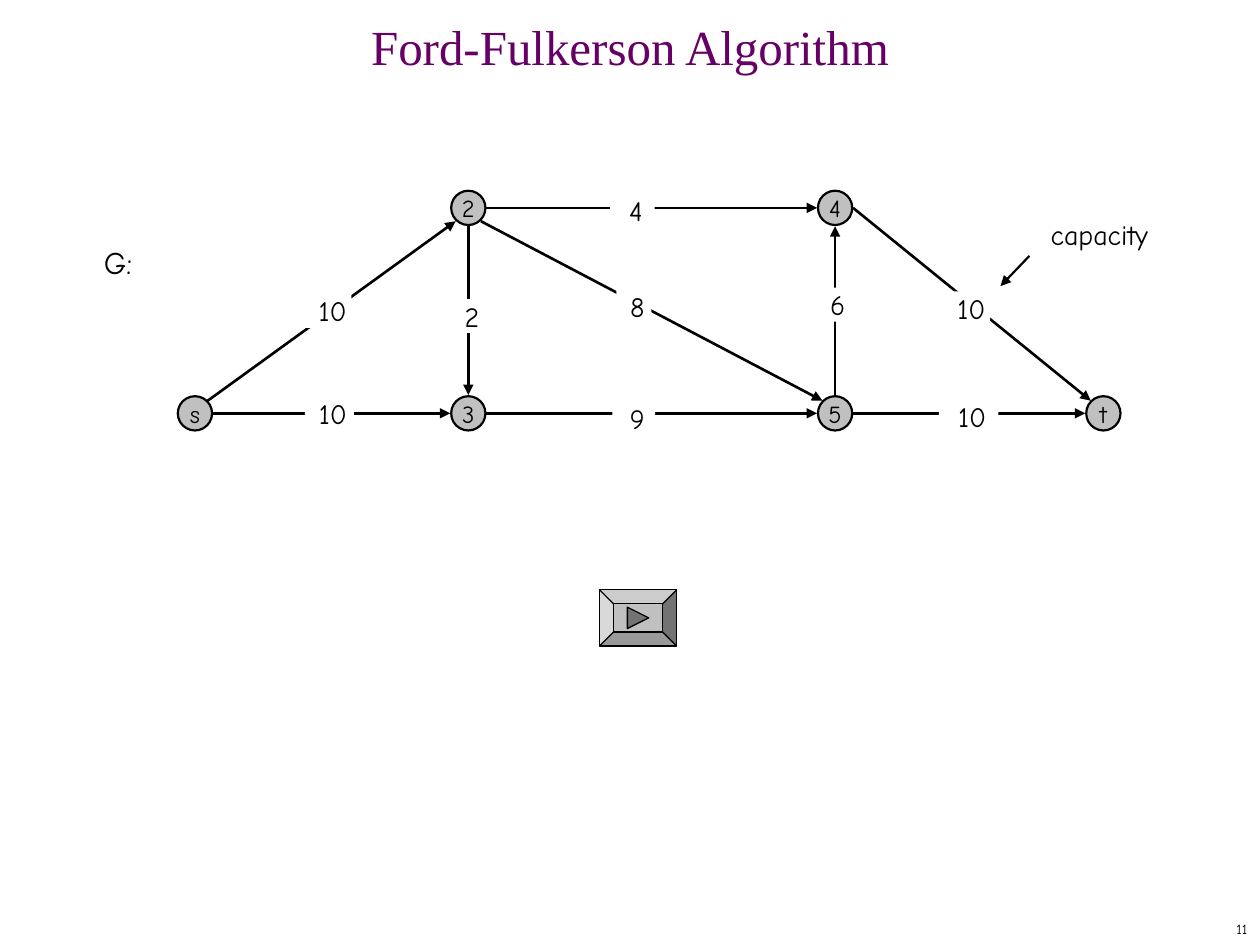
from lxml.etree import SubElement
from pptx import Presentation
from pptx.dml.color import RGBColor
from pptx.enum.shapes import MSO_CONNECTOR as CONN, MSO_SHAPE as SHAPE
from pptx.enum.text import MSO_ANCHOR as ANCHOR, MSO_AUTO_SIZE as AUTO, PP_ALIGN as ALIGN
from pptx.oxml.ns import qn
from pptx.util import Pt

BLACK = RGBColor(0x00, 0x00, 0x00)
WHITE = RGBColor(0xFF, 0xFF, 0xFF)
GRAY = RGBColor(0xC0, 0xC0, 0xC0)
DARK_GRAY = RGBColor(0x73, 0x73, 0x73)
PURPLE = RGBColor(0x66, 0x00, 0x66)
BODY_FONT = "Comic Neue"
TITLE_FONT = "Times New Roman"

NODE_SIZE = 19.6
COLUMNS = [9.8, 166, 375.6, 528.9]
ROWS = [9.8, 127.2]
NODES = {"s": (0, 1), "2": (1, 0), "3": (1, 1), "4": (2, 0), "5": (2, 1), "t": (3, 1)}
SIDES = {"n": (0, -10.5), "s": (0, 10.5), "w": (-10.3, 0), "e": (10.3, 0),
         "ne": (7.3, -7.2), "nw": (-7.2, -7.2), "se": (7.2, 7.6), "sw": (-7.2, 7.6)}
EDGES = [("s", "ne", "2", "sw"), ("s", "e", "3", "w"), ("3", "e", "5", "w"),
         ("2", "e", "4", "w"), ("2", "s", "3", "n"), ("5", "n", "4", "s"),
         ("2", "se", "5", "nw"), ("4", "e", "t", "nw"), ("5", "e", "t", "w")]
CAPACITIES = [("10", 72.7, 117.4, 28, 4), ("10", 66.3, 59, 33, 11.5),
              ("9", 248.4, 120.2, 24.5, 4), ("8", 250.6, 56.2, 20, 4),
              ("4", 247, 1.4, 25.5, 4), ("10", 434.9, 119.5, 34, 4),
              ("10", 431.3, 57.6, 33, 11.5), ("6", 358.6, 55.4, 33, 4),
              ("2", 149.1, 61.9, 34, 4)]


def write(tf, text, size, align=ALIGN.CENTER, font=BODY_FONT, color=BLACK):
    """Put one formatted run in the first paragraph and return the paragraph."""
    p = tf.paragraphs[0]
    p.alignment = align
    r = p.add_run()
    r.text = text
    r.font.size = Pt(size)
    r.font.name = font
    r.font.color.rgb = color
    return p


def set_margins(tf, left, top, right, bottom):
    """Set the four text margins."""
    tf.margin_left, tf.margin_top = Pt(left), Pt(top)
    tf.margin_right, tf.margin_bottom = Pt(right), Pt(bottom)


def add_text(s, x, y, w, h, text, size, align=ALIGN.CENTER, margins=(7.2, 3.6, 7.2, 3.6)):
    """Add a wrapped text box."""
    sp = s.shapes.add_textbox(Pt(x), Pt(y), Pt(w), Pt(h))
    tf = sp.text_frame
    tf.word_wrap = True
    set_margins(tf, *margins)
    write(tf, text, size, align)
    return sp


def add_label(s, x, y, w, h, text, size, indent, align=ALIGN.CENTER):
    """Add a white label that hides the line behind it."""
    sp = add_text(s, x, y, w, h, text, size, align, (indent, 0, 0, 0))
    sp.fill.solid()
    sp.fill.fore_color.rgb = WHITE
    sp.text_frame.auto_size = AUTO.SHAPE_TO_FIT_TEXT


def add_arrow(s, x1, y1, x2, y2, width):
    """Add a straight black line with an arrowhead at its end."""
    line = s.shapes.add_connector(CONN.STRAIGHT, Pt(x1), Pt(y1), Pt(x2), Pt(y2))
    line.line.color.rgb = BLACK
    line.line.width = Pt(width)
    SubElement(line.line._get_or_add_ln(), qn("a:tailEnd"), type="triangle")
    SubElement(line._element.spPr, qn("a:effectLst"))


def add_filled(s, kind, x, y, w, h, fill, width):
    """Add an outlined preset shape."""
    sp = s.shapes.add_shape(kind, Pt(x), Pt(y), Pt(w), Pt(h))
    sp.shadow.inherit = False
    sp.fill.solid()
    sp.fill.fore_color.rgb = fill
    sp.line.color.rgb = BLACK
    sp.line.width = Pt(width)
    return sp


def add_title(s, x, y, w, h, text):
    """Place and format the title."""
    sp = s.shapes.title
    sp.left, sp.top, sp.width, sp.height = Pt(x), Pt(y), Pt(w), Pt(h)
    tf = sp.text_frame
    tf.auto_size = AUTO.NONE
    tf.vertical_anchor = ANCHOR.MIDDLE
    write(tf, text, 28, font=TITLE_FONT, color=PURPLE).line_spacing = 0.7


def add_graph(s, x, y):
    """Draw the flow network with its capacities from the given corner."""
    centers = {name: (x + COLUMNS[c], y + ROWS[r]) for name, (c, r) in NODES.items()}
    for name, (cx, cy) in centers.items():
        sp = add_filled(s, SHAPE.OVAL, cx - NODE_SIZE / 2, cy - NODE_SIZE / 2,
                        NODE_SIZE, NODE_SIZE, GRAY, 1.25)
        sp.text_frame.word_wrap = False
        sp.text_frame.vertical_anchor = ANCHOR.MIDDLE
        write(sp.text_frame, name, 14)
    for start, side1, end, side2 in EDGES:
        (x1, y1), (dx1, dy1) = centers[start], SIDES[side1]
        (x2, y2), (dx2, dy2) = centers[end], SIDES[side2]
        add_arrow(s, x1 + dx1, y1 + dy1, x2 + dx2, y2 + dy2, 1.5)
    for text, dx, dy, w, indent in CAPACITIES:
        add_label(s, x + dx, y + dy, w, 19.4, text, 16, indent)


def add_annotations(s, x, y):
    """Name the graph and point out a capacity."""
    add_label(s, x, y + 18, 34.5, 21.6, "G:", 18, 6, ALIGN.LEFT)
    add_text(s, x + 530.6, y, 88.6, 26.6, "capacity", 16)
    add_arrow(s, x + 535, y + 25.2, x + 518.4, y + 42.5, 1.25)


def add_play_button(s, x, y, w, h):
    """Draw a bevelled button with a centred play triangle."""
    bevel = add_filled(s, SHAPE.BEVEL, x, y, w, h, GRAY, 0.75)
    bevel.adjustments[0] = 0.25
    size = 12.2
    play = add_filled(s, SHAPE.ISOSCELES_TRIANGLE, x + (w - size) / 2,
                      y + (h - size) / 2, size, size, DARK_GRAY, 0.75)
    play.rotation = 90


def add_page_number(s, x, y, w, h, number):
    """Add the page number at the right."""
    sp = add_text(s, x, y, w, h, number, 8, ALIGN.RIGHT)
    sp.text_frame.vertical_anchor = ANCHOR.MIDDLE


def main():
    """Build and save the slide."""
    prs = Presentation()
    prs.slide_width, prs.slide_height = Pt(720), Pt(540)
    s = prs.slides.add_slide(prs.slide_layouts[5])
    add_title(s, 0, 12.2, 720, 36, "Ford-Fulkerson Algorithm")
    add_graph(s, 101.6, 109)
    add_annotations(s, 53.3, 121)
    add_play_button(s, 342.5, 337, 44.2, 32.2)
    add_page_number(s, 570, 522, 150, 18, "11")
    prs.save("out.pptx")


if __name__ == "__main__":
    main()
